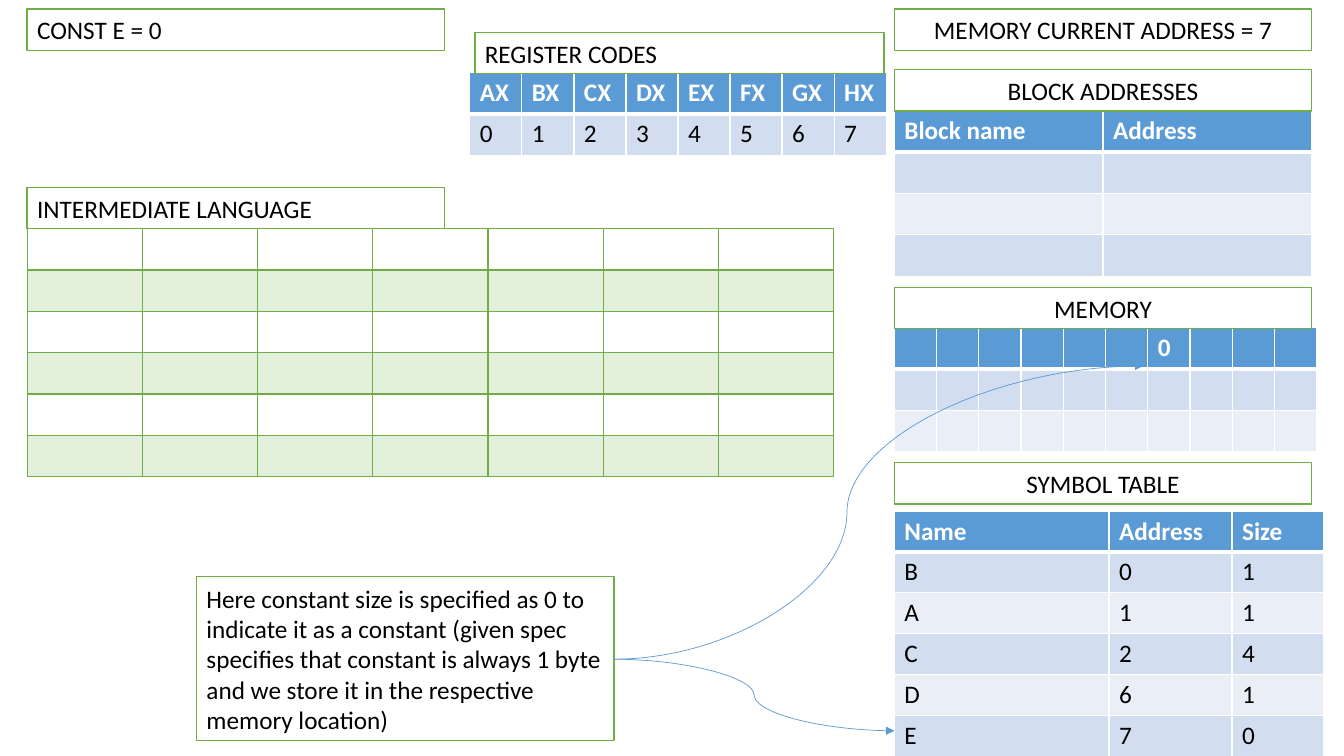
from lxml import etree
from pptx import Presentation
from pptx.dml.color import RGBColor
from pptx.enum.shapes import MSO_CONNECTOR, MSO_SHAPE
from pptx.enum.text import MSO_ANCHOR, PP_ALIGN
from pptx.oxml.ns import qn
from pptx.util import Inches, Pt

RECTANGLE = MSO_SHAPE.RECTANGLE
CURVE = MSO_CONNECTOR.CURVE
MIDDLE = MSO_ANCHOR.MIDDLE
LEFT, CENTER = PP_ALIGN.LEFT, PP_ALIGN.CENTER

BLUE, GREEN, WHITE, BLACK = "5B9BD5", "70AD47", "FFFFFF", "000000"
BLUE_BANDS = ("D2DEEF", "EAEFF7")
GREEN_BANDS = ("E2EFDA", None)

LEFT_EDGE, RIGHT_COLUMN = 0.27, 8.87
BOX_WIDTH, ROW_HEIGHT = 4.14, 0.41


def color(value):
    """Turn a hex string into a colour."""
    return RGBColor.from_string(value)


def format_paragraph(paragraph, ink, bold=False, alignment=LEFT):
    """Apply the slide's text style to a paragraph."""
    paragraph.alignment = alignment
    paragraph.font.name = "Calibri"
    paragraph.font.size = Pt(18)
    paragraph.font.bold = bold
    paragraph.font.color.rgb = color(ink)


def add_box(slide, text, left, top, width=BOX_WIDTH, height=ROW_HEIGHT, alignment=LEFT):
    """Add a white box with a green outline and black text."""
    box = slide.shapes.add_shape(
        RECTANGLE, Inches(left), Inches(top), Inches(width), Inches(height))
    box.shadow.inherit = False
    box.fill.solid()
    box.fill.fore_color.rgb = color(WHITE)
    box.line.color.rgb = color(GREEN)
    box.line.width = Pt(1)
    box.text_frame.word_wrap = True
    box.text_frame.vertical_anchor = MIDDLE
    paragraph = box.text_frame.paragraphs[0]
    paragraph.text = text
    format_paragraph(paragraph, BLACK, alignment=alignment)
    return box


def set_border(cell, side, ink, points):
    """Draw one solid border of a table cell."""
    line = etree.SubElement(
        cell._tc.get_or_add_tcPr(), qn(f"a:ln{side}"), w=str(Pt(points)))
    fill = etree.SubElement(line, qn("a:solidFill"))
    etree.SubElement(fill, qn("a:srgbClr"), val=ink)


def format_cell(cell, row, header_fill, bands, border, header_rule):
    """Style a cell by its row: header first, then alternating bands."""
    top = header_rule if row == 1 else 1
    bottom = header_rule if row == 0 else 1
    for side, points in (("L", 1), ("R", 1), ("T", top), ("B", bottom)):
        set_border(cell, side, border, points)
    fill = header_fill if row == 0 else bands[(row - 1) % 2]
    if fill:
        cell.fill.solid()
        cell.fill.fore_color.rgb = color(fill)
    else:
        cell.fill.background()
    format_paragraph(cell.text_frame.paragraphs[0],
                     WHITE if row == 0 else BLACK, bold=row == 0)


def add_grid(slide, rows, left, top, widths, row_height=ROW_HEIGHT,
             header_fill=BLUE, bands=BLUE_BANDS, border=WHITE, header_rule=3):
    """Add a table with a header row and banded body rows."""
    table = slide.shapes.add_table(
        len(rows), len(widths), Inches(left), Inches(top),
        Inches(sum(widths)), Inches(row_height * len(rows))).table
    table.horz_banding = False
    for column, width in zip(table.columns, widths):
        column.width = Inches(width)
    for row_index, values in enumerate(rows):
        table.rows[row_index].height = Inches(row_height)
        for column_index, value in enumerate(values):
            cell = table.cell(row_index, column_index)
            cell.text = value
            format_cell(cell, row_index, header_fill, bands, border, header_rule)


def add_curved_arrow(slide, start, end, bend=0.5):
    """Add a thin blue curved arrow that turns at the given share of its width."""
    arrow = slide.shapes.add_connector(CURVE, *(Inches(value) for value in start + end))
    arrow.line.color.rgb = color(BLUE)
    arrow.line.width = Pt(0.5)
    properties = arrow._element.spPr
    etree.SubElement(arrow.line._get_or_add_ln(), qn("a:tailEnd"), type="triangle")
    etree.SubElement(properties, qn("a:effectLst"))
    adjustments = properties.find(qn("a:prstGeom")).get_or_add_avLst()
    etree.SubElement(adjustments, qn("a:gd"), name="adj1",
                     fmla=f"val {round(bend * 100000)}")


def empty_rows(row_count, column_count):
    """Return rows of empty cell texts."""
    return [[""] * column_count for _ in range(row_count)]


def main():
    """Build the slide and save it."""
    presentation = Presentation()
    presentation.slide_width = Inches(13.33)
    presentation.slide_height = Inches(7.5)
    slide = presentation.slides.add_slide(presentation.slide_layouts[6])

    memory = empty_rows(3, 10)
    memory[0][6] = "0"
    add_grid(slide, memory, RIGHT_COLUMN, 3.25, [0.419] * 10)

    symbols = [("Name", "Address", "Size"), ("B", "0", "1"), ("A", "1", "1"),
               ("C", "2", "4"), ("D", "6", "1"), ("E", "7", "0")]
    add_grid(slide, symbols, RIGHT_COLUMN, 5.07, [2.13, 1.22, 0.91], row_height=0.4)

    add_grid(slide, empty_rows(6, 7), LEFT_EDGE, 2.27, [8 / 7] * 7,
             header_fill=None, bands=GREEN_BANDS, border=GREEN, header_rule=2)

    blocks = [("Block name", "Address")] + empty_rows(3, 2)
    add_grid(slide, blocks, RIGHT_COLUMN, 1.1, [BOX_WIDTH / 2] * 2)

    for heading, top in (("MEMORY CURRENT ADDRESS = 7", 0.09), ("BLOCK ADDRESSES", 0.69),
                         ("MEMORY", 2.85), ("SYMBOL TABLE", 4.59)):
        add_box(slide, heading, RIGHT_COLUMN, top, alignment=CENTER)

    add_box(slide, "CONST E = 0", LEFT_EDGE, 0.09)
    add_box(slide, "INTERMEDIATE LANGUAGE", LEFT_EDGE, 1.86)
    add_box(slide, "Here constant size is specified as 0 to indicate it as a constant "
            "(given spec specifies that constant is always 1 byte and we store it "
            "in the respective memory location)", 1.95, 5.72, height=1.63)

    registers = [("AX", "BX", "CX", "DX", "EX", "FX", "GX", "HX"),
                 [str(code) for code in range(8)]]
    add_grid(slide, registers, 4.66, 0.72, [4.13 / 8] * 8)
    add_box(slide, "REGISTER CODES", 4.71, 0.32, width=4.06)

    note_edge = (6.09, 6.54)
    add_curved_arrow(slide, note_edge, (11.34, 3.63), bend=0.44)
    add_curved_arrow(slide, note_edge, (RIGHT_COLUMN, 7.25))

    presentation.save("out.pptx")


if __name__ == "__main__":
    main()
